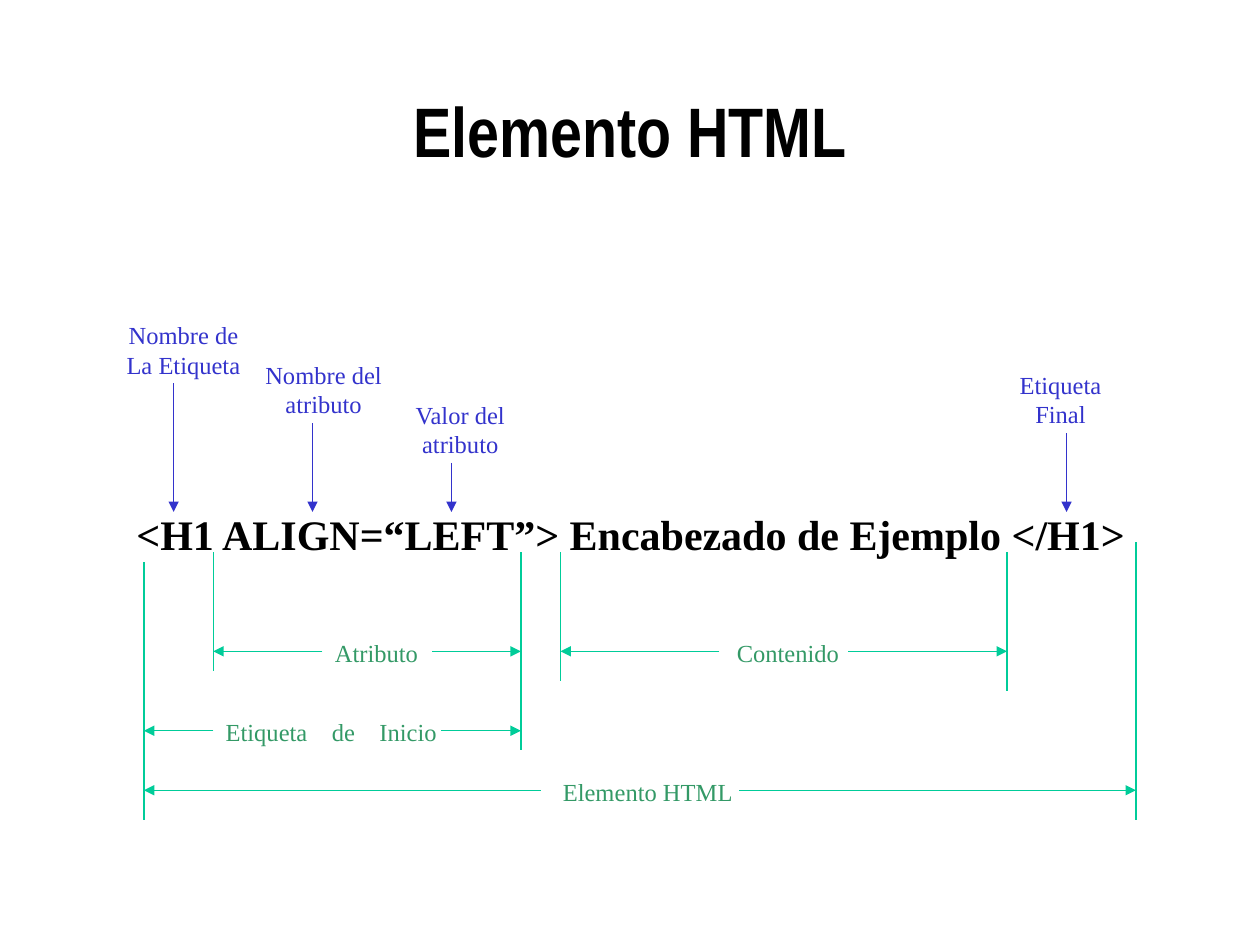
"""Build a slide that names the parts of an HTML element."""
from dataclasses import dataclass

import lxml.etree
import pptx
import pptx.dml.color
import pptx.enum.shapes
import pptx.enum.text
import pptx.oxml.ns
import pptx.util

Cm = pptx.util.Cm
ALIGN = pptx.enum.text.PP_ALIGN


@dataclass(frozen=True)
class Theme:
    black: str = "000000"
    blue: str = "3333CC"
    green: str = "00CC99"
    label_green: str = "339966"
    title_font: str = "Arial Narrow"
    body_font: str = "Times New Roman"
    title_size: int = 40
    code_size: int = 24
    label_size: int = 14
    line_width: float = 0.74


theme = Theme()
TITLE = "Elemento HTML"
CODE = "<H1 ALIGN=“LEFT”> Encabezado de Ejemplo </H1>"

CALLOUTS = [
    {"lines": ["Nombre de", "La Etiqueta"], "left": 2.15, "top": 6.33, "width": 3.1, "arrow": 3.5},
    {"lines": ["Nombre del", "atributo"], "left": 4.95, "top": 7.13, "width": 3.15, "arrow": 6.3},
    {"lines": ["Valor del", "atributo"], "left": 8.0, "top": 7.93, "width": 2.56, "arrow": 9.1},
    {"lines": ["Etiqueta", "Final"], "left": 20.2, "top": 7.33, "width": 2.36, "arrow": 21.5},
]
CALLOUT_HEIGHT = 1.4
ARROW_END = 10.32

SPANS = [
    {"text": "Atributo", "ends": (4.3, 10.5), "gap": (6.5, 8.71), "y": 13.13, "box": (6.5, 2.18)},
    {"text": "Contenido", "ends": (11.3, 20.3), "gap": (14.5, 17.1), "y": 13.13, "box": (13.7, 4.37)},
    {"text": "Etiqueta\tde\tInicio", "ends": (2.9, 10.5), "gap": (4.3, 8.9), "y": 14.73,
     "box": (4.3, 5.21), "tabs": (2.14, 3.1)},
    {"text": "Elemento HTML", "ends": (2.9, 22.9), "gap": (10.9, 14.9), "y": 15.93, "box": (11.0, 4.12)},
]
LABEL_RISE = 0.4
LABEL_HEIGHT = 0.86

GUIDES = [
    (2.9, 11.33, 16.53), (4.3, 11.13, 13.52), (10.5, 11.13, 15.12),
    (11.3, 11.13, 13.72), (20.3, 11.13, 13.92), (22.9, 10.93, 16.53),
]


def write(box, lines, *, size=theme.label_size, color=theme.black, font=theme.body_font,
          bold=False, align=ALIGN.CENTER, wrap=True, tabs=()):
    frame = box.text_frame
    frame.word_wrap = wrap
    for index, text in enumerate(lines):
        para = frame.add_paragraph() if index else frame.paragraphs[0]
        para.alignment = align
        span = para.add_run()
        span.text = text
        span.font.name = font
        span.font.size = pptx.util.Pt(size)
        span.font.bold = bold
        span.font.color.rgb = pptx.dml.color.RGBColor.from_string(color)
        if tabs:
            stops = lxml.etree.SubElement(para._p.get_or_add_pPr(), pptx.oxml.ns.qn("a:tabLst"))
            for stop in tabs:
                lxml.etree.SubElement(stops, pptx.oxml.ns.qn("a:tab"), pos=str(Cm(stop)), algn="l")


def add_box(page, left, top, width, height, lines, **style):
    box = page.shapes.add_textbox(Cm(left), Cm(top), Cm(width), Cm(height))
    write(box, lines, **style)


def add_line(page, start, end, color, arrow=False):
    line = page.shapes.add_connector(
        pptx.enum.shapes.MSO_CONNECTOR.STRAIGHT, *(Cm(value) for value in (*start, *end)))
    line.line.color.rgb = pptx.dml.color.RGBColor.from_string(color)
    line.line.width = pptx.util.Pt(theme.line_width)
    if arrow:
        lxml.etree.SubElement(line.line._get_or_add_ln(), pptx.oxml.ns.qn("a:tailEnd"), type="triangle")
    lxml.etree.SubElement(line._element.spPr, pptx.oxml.ns.qn("a:effectLst"))


deck = pptx.Presentation()
deck.slide_width, deck.slide_height = Cm(25.4), Cm(19.05)
page = deck.slides.add_slide(deck.slide_layouts[5])

title = page.shapes.title
title.left, title.top, title.width, title.height = Cm(1.9), Cm(1.7), Cm(21.6), Cm(1.83)
title.text_frame.vertical_anchor = pptx.enum.text.MSO_ANCHOR.MIDDLE
write(title, [TITLE], size=theme.title_size, font=theme.title_font, bold=True)

add_box(page, 2.5, 10.13, 20.47, 2.29, [CODE], size=theme.code_size, bold=True,
        align=ALIGN.LEFT, wrap=False)

for callout in CALLOUTS:
    add_box(page, callout["left"], callout["top"], callout["width"], CALLOUT_HEIGHT + 0.05,
            callout["lines"], color=theme.blue)
    add_line(page, (callout["arrow"], callout["top"] + CALLOUT_HEIGHT),
             (callout["arrow"], ARROW_END), theme.blue, arrow=True)

for x, top, bottom in GUIDES:
    add_line(page, (x, top), (x, bottom), theme.green)

for part in SPANS:
    left, width = part["box"]
    tabs = part.get("tabs", ())
    add_box(page, left, part["y"] - LABEL_RISE, width, LABEL_HEIGHT, [part["text"]],
            color=theme.label_green, tabs=tabs, align=ALIGN.LEFT if tabs else ALIGN.CENTER)
    for inner, outer in zip(part["gap"], part["ends"]):
        add_line(page, (inner, part["y"]), (outer, part["y"]), theme.green, arrow=True)

deck.save("out.pptx")
